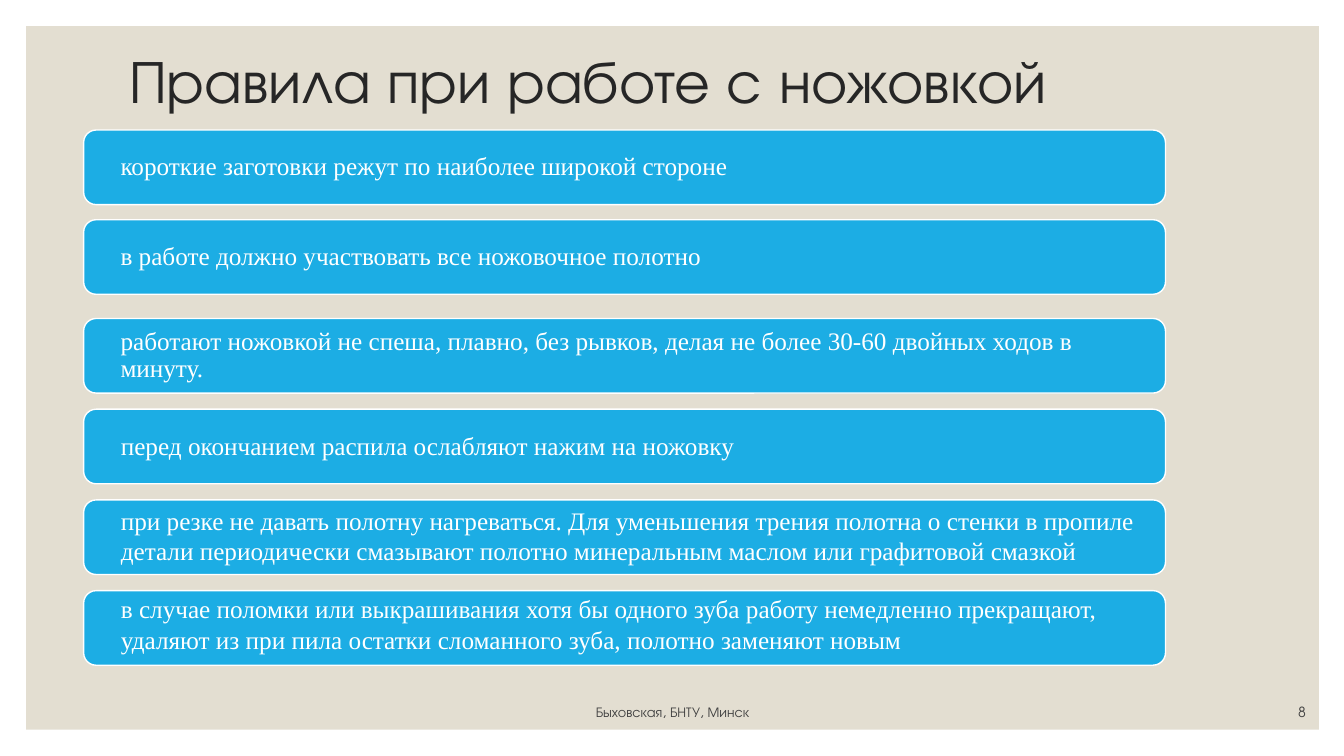
"""Build the slide with the rules for working with a hacksaw."""
from pptx import Presentation
from pptx.dml.color import RGBColor
from pptx.enum.shapes import MSO_SHAPE as Shape
from pptx.enum.text import MSO_ANCHOR as Anchor, MSO_AUTO_SIZE as AutoSize, PP_ALIGN as Align
from pptx.util import Inches, Pt


def color(hex_code):
    return RGBColor.from_string(hex_code)


class RulesSlide:
    heading_font = "TeX Gyre Adventor"
    body_font = "Times New Roman"
    backdrop_fill, bar_fill, white = "E3DED1", "1CADE4", "FFFFFF"
    title_color, footer_color = "262626", "404040"
    bar_left, bar_width, bar_height = 0.83, 10.73, 0.74

    def __init__(self, deck):
        self.page = deck.slides.add_slide(deck.slide_layouts[5])
        self.page.background.fill.solid()
        self.page.background.fill.fore_color.rgb = color(self.white)

    def set_text(self, shape, text, font, size, hex_code, align=Align.LEFT,
                 anchor=Anchor.MIDDLE, spacing=1.0):
        frame = shape.text_frame
        frame.text = text
        frame.word_wrap = True
        frame.auto_size = AutoSize.NONE
        frame.vertical_anchor = anchor
        para = frame.paragraphs[0]
        para.alignment = align
        para.line_spacing = spacing
        for span in para.runs:
            span.font.name = font
            span.font.size = Pt(size)
            span.font.color.rgb = color(hex_code)

    def block(self, kind, left, top, width, height, fill, line=None):
        shape = self.page.shapes.add_shape(
            kind, Inches(left), Inches(top), Inches(width), Inches(height))
        shape.shadow.inherit = False
        shape.fill.solid()
        shape.fill.fore_color.rgb = color(fill)
        if line:
            shape.line.color.rgb = color(line)
            shape.line.width = Pt(1)
        else:
            shape.line.fill.background()
        return shape

    def backdrop(self):
        panel = self.block(Shape.RECTANGLE, 0.26, 0.26, 12.82, 6.98, self.backdrop_fill)
        tree = self.page.shapes.element
        tree.remove(panel.element)
        tree.insert(2, panel.element)

    def title(self, text):
        title = self.page.shapes.title
        title.left, title.top = Inches(1.18), Inches(0.45)
        title.width, title.height = Inches(11), Inches(0.76)
        self.set_text(title, text, self.heading_font, 43.2, self.title_color, spacing=0.9)

    def bar(self, top):
        return self.block(Shape.ROUNDED_RECTANGLE, self.bar_left, top,
                          self.bar_width, self.bar_height, self.bar_fill, self.white)

    def filled_bar(self, top, text):
        bar = self.bar(top)
        frame = bar.text_frame
        frame.margin_left = frame.margin_right = Inches(0.33)
        frame.margin_top = frame.margin_bottom = Inches(0.04)
        self.set_text(bar, text, self.body_font, 18, self.white, spacing=0.9)

    def text_box(self, left, top, width, height):
        return self.page.shapes.add_textbox(
            Inches(left), Inches(top), Inches(width), Inches(height))

    def captioned_bar(self, top, text, text_top, text_height):
        self.bar(top)
        box = self.text_box(1.1, text_top, 10.45, text_height)
        self.set_text(box, text, self.body_font, 18, self.white, anchor=Anchor.TOP)

    def footer(self, left, width, text, align):
        box = self.text_box(left, 6.9, width, 0.3)
        self.set_text(box, text, self.heading_font, 10, self.footer_color,
                      align, Anchor.BOTTOM)


FILLED_RULES = [
    (1.29, "короткие заготовки режут по наиболее широкой стороне"),
    (2.18, "в работе должно участвовать все ножовочное полотно"),
    (3.16, "работают ножовкой не спеша, плавно, без рывков, "
           "делая не более 30-60 двойных ходов в минуту."),
]
CAPTIONED_RULES = [
    (4.06, "перед окончанием распила ослабляют нажим на ножовку", 4.22, 0.4),
    (4.96, "при резке не давать полотну нагреваться. Для уменьшения трения полотна "
           "о стенки в пропиле детали периодически смазывают полотно минеральным "
           "маслом или графитовой смазкой", 4.96, 0.71),
    (5.86, "в случае поломки или выкрашивания хотя бы одного зуба работу немедленно "
           "прекращают, удаляют из при пила остатки сломанного зуба, "
           "полотно заменяют новым", 5.84, 0.71),
]


def main():
    deck = Presentation()
    deck.slide_width, deck.slide_height = Inches(13.33), Inches(7.5)
    slide = RulesSlide(deck)
    slide.backdrop()
    slide.title("Правила при работе с ножовкой")
    slide.footer(3.82, 5.7, "Быховская, БНТУ, Минск", Align.CENTER)
    slide.footer(11.45, 1.6, "8", Align.RIGHT)
    for rule in FILLED_RULES:
        slide.filled_bar(*rule)
    for rule in CAPTIONED_RULES:
        slide.captioned_bar(*rule)
    deck.save("out.pptx")


if __name__ == "__main__":
    main()
